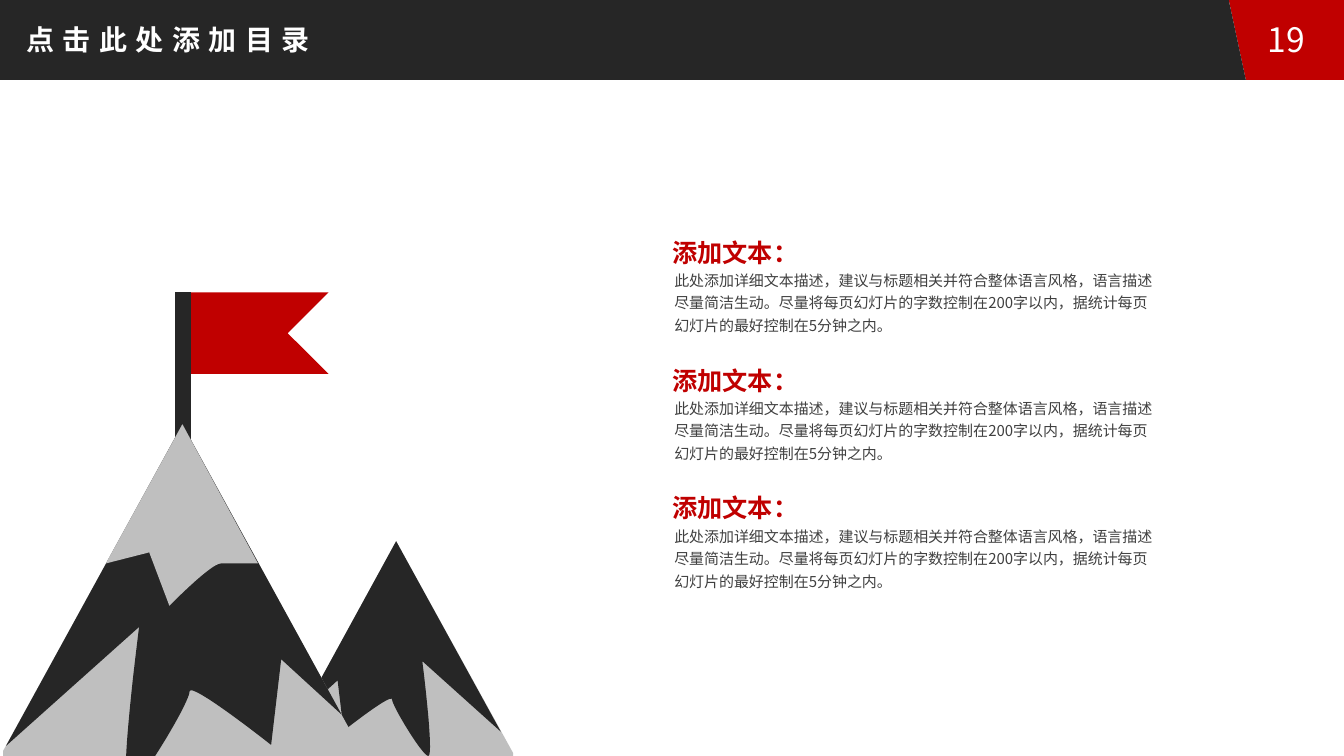
import dataclasses
import typing

import pptx
import pptx.dml.color
import pptx.enum.shapes
import pptx.enum.text
import pptx.oxml
import pptx.oxml.ns
import pptx.util

Pt = pptx.util.Pt
RGB = pptx.dml.color.RGBColor
ANCHOR = pptx.enum.text.MSO_ANCHOR
ALIGN = pptx.enum.text.PP_ALIGN
FIT = pptx.enum.text.MSO_AUTO_SIZE

RED = RGB(0xC0, 0x00, 0x00)
DARK = RGB(0x26, 0x26, 0x26)
SNOW = RGB(0xBF, 0xBF, 0xBF)
GREY = RGB(0x40, 0x40, 0x40)
WHITE = RGB(0xFF, 0xFF, 0xFF)
FONT = "Noto Sans CJK SC"

WIDE, HIGH, BAR = 960, 540, 57
BASE = 542.2  # foot of the mountains
STEPS = 16  # pieces per curve
HEAD = "添加文本："
BODY = ("此处添加详细文本描述，建议与标题相关并符合整体语言风格，语言描述尽量简洁生动。"
        "尽量将每页幻灯片的字数控制在200字以内，据统计每页幻灯片的最好控制在5分钟之内。")


@dataclasses.dataclass
class Form:
    """An outline: pairs are corners, sixes are cubic curves."""
    color: RGB
    nodes: list[tuple[float, ...]]


@dataclasses.dataclass
class Note:
    head: str
    body: str


PEAK = (130.3, 303.1)
TOP = (283, 386.6)

HEADER = [
    Form(RED, [(877.7, 0), (WIDE, 0), (WIDE, BAR), (889.9, BAR)]),
    Form(DARK, [(0, 0), (877.7, 0), (889.9, BAR), (0, BAR)]),
]
BACK = [
    # Flag
    Form(RED, [(234.7, 267.1), (132.5, 267.1), (132.5, 208.8),
               (234.7, 208.8), (205.5, 238)]),
    # Small mountain
    Form(SNOW, [(198, BASE), (366.5, BASE), (366.5, 537.8), TOP]),
    Form(DARK, [TOP, (357.8, 522.7), (301.7, 472.3),
                (301.7, 472.3, 310.3, 540, 306, 540),
                (301.7, 540, 280.1, 504, 280.1, 499.7),
                (280.1, 494.6, 245.5, 522, 245.5, 522),
                (241.2, 486), (216, 509)]),
    # Flag pole
    Form(DARK, [(125.3, 208.8), (136.6, 208.8), (136.6, 339.8), (125.3, 339.8)]),
]
FRONT = [
    # Large mountain
    Form(SNOW, [PEAK, (2.2, 536.4), (2.2, BASE), (261.4, BASE)]),
    Form(DARK, [(4.3, 532.8), (99.4, 447.8),
                (99.4, 447.8, 91.4, 509, 90, BASE), (109.4, BASE),
                (121.7, 523.4, 135.4, 499, 135.4, 493.9),
                (135.4, 486, 193.7, 532.1, 193.7, 532.1),
                (200.9, 470.9), (244.1, 510.5), PEAK]),
    # Snow cap
    Form(SNOW, [(184.3, 402.5), PEAK, (75.6, 402.5), (106.6, 394.6),
                (121, 432.7), (121, 432.7, 150.5, 402.5, 157.7, 402.5)]),
]
NOTES = [Note(HEAD, BODY)] * 3


def trace(nodes: list[tuple[float, ...]]) -> list[tuple[int, int]]:
    """Turn corners and curves into a list of points."""
    dots: list[tuple[float, float]] = []
    for node in nodes:
        if len(node) == 2:
            dots.append(node)
            continue
        ends = [dots[-1], node[:2], node[2:4], node[4:]]
        for step in range(1, STEPS + 1):
            t = step / STEPS
            parts = ((1 - t) ** 3, 3 * t * (1 - t) ** 2, 3 * t * t * (1 - t), t ** 3)
            dots.append(tuple(sum(k * end[axis] for k, end in zip(parts, ends))
                              for axis in (0, 1)))
    return [(Pt(x), Pt(y)) for x, y in dots]


def draw(shapes: typing.Any, form: Form) -> None:
    dots = trace(form.nodes)
    pen = shapes.build_freeform(*dots[0])
    pen.add_line_segments(dots[1:], close=True)
    shape = pen.convert_to_shape()
    shape.fill.solid()
    shape.fill.fore_color.rgb = form.color
    shape.line.fill.background()
    shape.shadow.inherit = False


def write(shape: typing.Any, text: str, *, size: float, color: RGB,
          bold: bool = False, align: ALIGN = ALIGN.LEFT,
          anchor: ANCHOR = ANCHOR.TOP, inset: tuple[float, float] = (7.2, 3.6),
          wrap: bool = True, lines: float = 1.0, gap: int = 0,
          fit: FIT = FIT.NONE) -> None:
    """Put formatted text in a shape; gap is letter spacing in points."""
    frame = shape.text_frame
    frame.margin_left = frame.margin_right = Pt(inset[0])
    frame.margin_top = frame.margin_bottom = Pt(inset[1])
    frame.word_wrap = wrap
    frame.auto_size = fit
    frame.vertical_anchor = anchor
    para = frame.paragraphs[0]
    para.alignment = align
    para.line_spacing = lines
    run = para.add_run()
    run.text = text
    run.font.size = Pt(size)
    run.font.bold = bold
    run.font.color.rgb = color
    run.font.name = FONT
    props = run.font._element
    east = pptx.oxml.parse_xml(
        f'<a:ea {pptx.oxml.ns.nsdecls("a")} typeface="{FONT}"/>')
    props.find(pptx.oxml.ns.qn("a:latin")).addnext(east)
    if gap:
        props.set("spc", str(gap * 100))


def place(shape: typing.Any, left: float, top: float, wide: float, high: float) -> None:
    shape.left, shape.top = Pt(left), Pt(top)
    shape.width, shape.height = Pt(wide), Pt(high)


def main() -> None:
    deck = pptx.Presentation()
    deck.slide_width, deck.slide_height = Pt(WIDE), Pt(HIGH)
    slide = deck.slides.add_slide(deck.slide_layouts[5])
    shapes = slide.shapes

    # Header bar
    for form in HEADER:
        draw(shapes, form)

    # Mountains and flag
    scene = shapes.add_group_shape()
    for form in BACK + FRONT:
        draw(scene.shapes, form)

    # Text blocks
    for row, note in enumerate(NOTES):
        top = 164.2 + row * 91.4
        head = shapes.add_textbox(Pt(470.9), Pt(top), Pt(260), Pt(27.4))
        write(head, note.head, size=18, color=RED, bold=True, inset=(9.4, 5))
        body = shapes.add_textbox(Pt(481.7), Pt(top + 26.6), Pt(348.5), Pt(54))
        write(body, note.body, size=10.7, color=GREY, inset=(0, 0), lines=1.25)

    # Page number
    page = shapes.add_textbox(Pt(893.5), Pt(13.7), Pt(50.4), Pt(28.8))
    write(page, "19", size=24, color=WHITE, align=ALIGN.CENTER, anchor=ANCHOR.MIDDLE)

    # Title, in front of the bar
    title = shapes.title
    place(title, 11.5, 12.2, 224.6, 31.7)
    write(title, "点击此处添加目录", size=20, color=WHITE, bold=True,
          wrap=False, gap=6, fit=FIT.SHAPE_TO_FIT_TEXT)
    shapes._spTree.append(title._element)

    deck.save("out.pptx")


if __name__ == "__main__":
    main()
